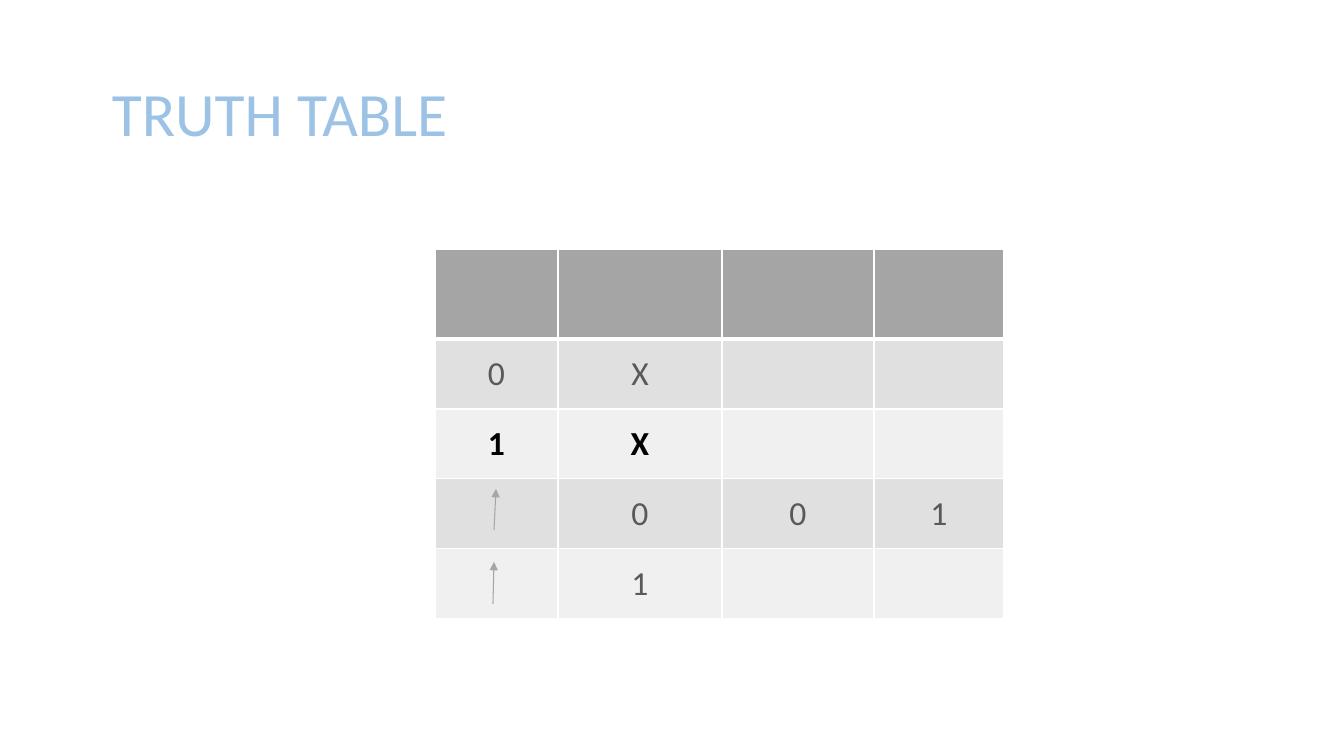
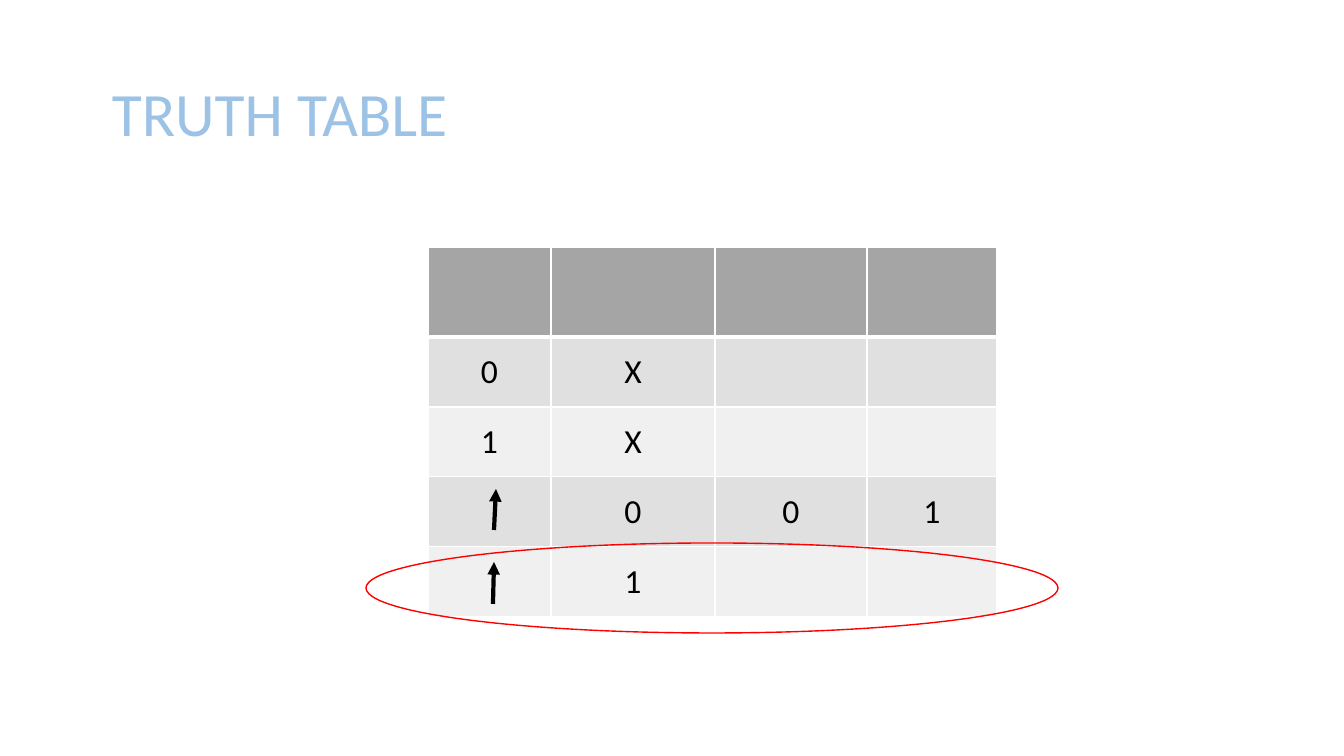
from pptx import Presentation
from pptx.dml.color import RGBColor as RGB
from pptx.enum.shapes import MSO_CONNECTOR as CONN, MSO_SHAPE as SHAPE
from pptx.enum.text import MSO_ANCHOR as ANCHOR, PP_ALIGN as ALIGN
from pptx.oxml import parse_xml
from pptx.oxml.ns import nsdecls
from pptx.util import Emu, Pt

SCALE = 914400 / 100.8  # EMU per px
FONT = "Calibri"
COLORS = {
    "title": "9CC2E5", "header": "A5A5A5", "band1": "E0E0E0", "band2": "F0F0F0",
    "white": "FFFFFF", "gray": "595959", "black": "000000", "red": "FF0000",
}
COLS = [123, 164, 152, 130]
ROWS = [90, 70, 70, 70, 70]
CELLS = [
    ["", "", "", ""],
    ["0", "X", "", ""],
    ["1", "X", "", ""],
    ["", "0", "0", "1"],
    ["", "1", "", ""],
]
ARROWS = [(494, 530, 496, 489), (493, 604, 494, 562)]
SLIDES = [
    dict(table=(435, 249), text="gray", bold_row=2, arrow=("header", 0.75), ring=None),
    dict(table=(428, 247), text="black", bold_row=None, arrow=("black", 3),
         ring=(366, 543, 692, 90)),
]


def px(*values):
    return [Emu(round(v * SCALE)) for v in values]


def write(tf, text, size=24, color="black", bold=False, align=ALIGN.LEFT, spacing=1.0):
    p = tf.paragraphs[0]
    p.alignment, p.line_spacing = align, spacing
    r = p.add_run()
    r.text = text
    r.font.name, r.font.size, r.font.bold = FONT, Pt(size), bold
    r.font.color.rgb = RGB.from_string(COLORS[color])


prs = Presentation()
prs.slide_width, prs.slide_height = px(1344, 756)

for look in SLIDES:
    s = prs.slides.add_slide(prs.slide_layouts[6])

    # Title
    tf = s.shapes.add_textbox(*px(102, 44, 794, 146)).text_frame
    tf.word_wrap, tf.vertical_anchor = True, ANCHOR.MIDDLE
    write(tf, "TRUTH TABLE", size=44, color="title", spacing=0.9)

    # Truth table
    table = s.shapes.add_table(len(ROWS), len(COLS),
                               *px(*look["table"], sum(COLS), sum(ROWS))).table
    table.first_row = table.horz_banding = False
    for col, width in zip(table.columns, px(*COLS)):
        col.width = width
    for row, height in zip(table.rows, px(*ROWS)):
        row.height = height
    for i, texts in enumerate(CELLS):
        fill = "header" if i == 0 else "band1" if i % 2 else "band2"
        bold = i == look["bold_row"]
        for j, text in enumerate(texts):
            cell = table.cell(i, j)
            cell.vertical_anchor = ANCHOR.MIDDLE
            tcPr = cell._tc.get_or_add_tcPr()
            for side in "LRTB":
                # The rule under the header is thicker
                thick = (i, side) in ((0, "B"), (1, "T"))
                tcPr.append(parse_xml(
                    f'<a:ln{side} {nsdecls("a")} w="{Pt(3 if thick else 1)}"><a:solidFill>'
                    f'<a:srgbClr val="{COLORS["white"]}"/></a:solidFill></a:ln{side}>'))
            cell.fill.solid()
            cell.fill.fore_color.rgb = RGB.from_string(COLORS[fill])
            if text:
                write(cell.text_frame, text, bold=bold, align=ALIGN.CENTER,
                      color="black" if bold else look["text"])

    # Rising-edge arrows
    color, width = look["arrow"]
    for ends in ARROWS:
        arrow = s.shapes.add_connector(CONN.STRAIGHT, *px(*ends))
        arrow.line.color.rgb = RGB.from_string(COLORS[color])
        arrow.line.width = Pt(width)
        arrow.line._get_or_add_ln().append(
            parse_xml(f'<a:tailEnd {nsdecls("a")} type="triangle"/>'))
        arrow._element.spPr.append(parse_xml(f'<a:effectLst {nsdecls("a")}/>'))

    # Ring around the last row
    if look["ring"]:
        ring = s.shapes.add_shape(SHAPE.OVAL, *px(*look["ring"]))
        ring.shadow.inherit = False
        ring.fill.background()
        ring.line.color.rgb = RGB.from_string(COLORS["red"])
        ring.line.width = Pt(1)

prs.save("out.pptx")
